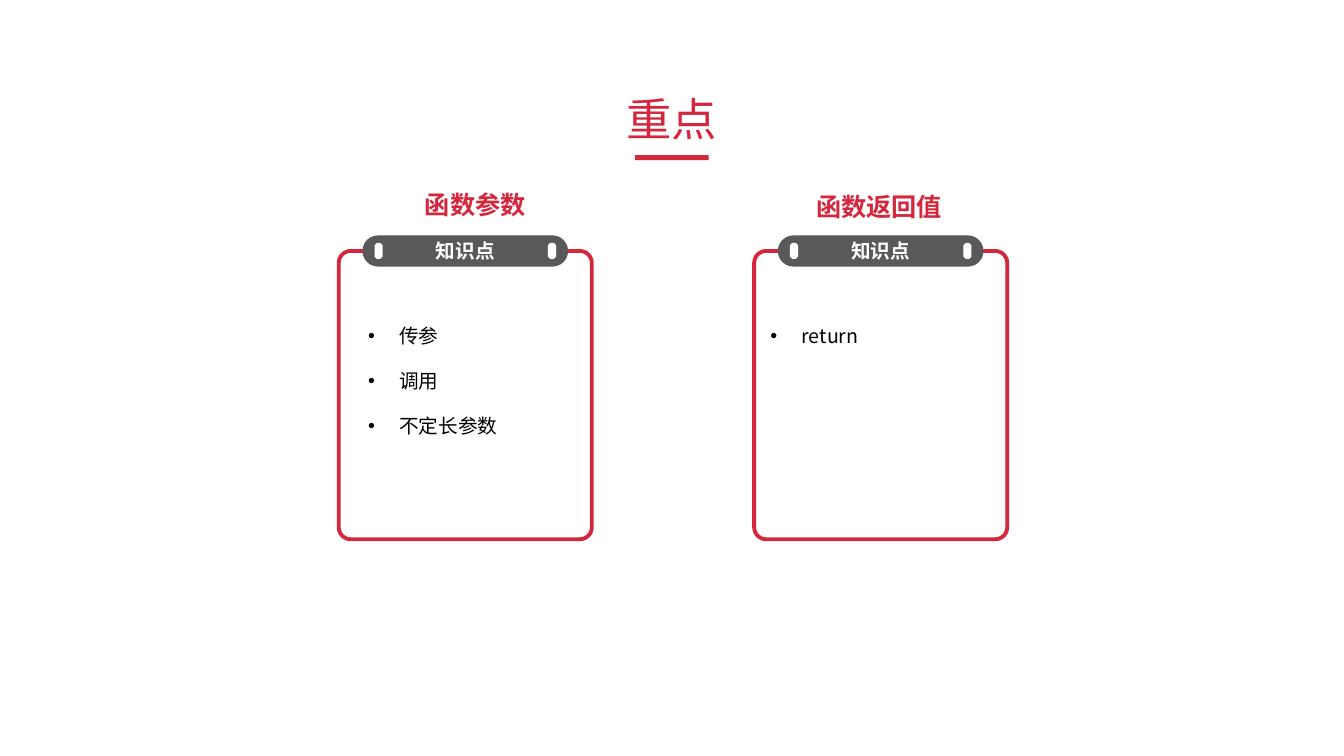
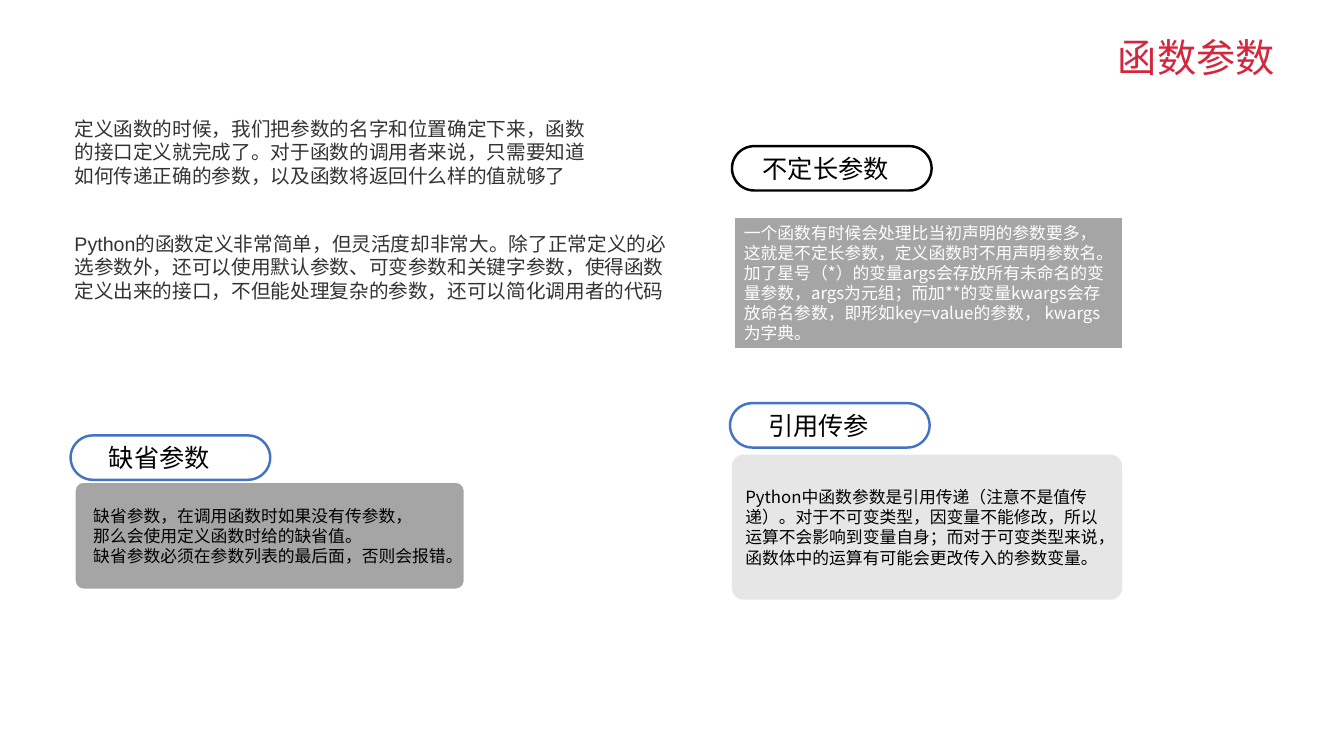
from lxml.etree import SubElement
from pptx import Presentation
from pptx.dml.color import RGBColor
from pptx.enum.shapes import MSO_SHAPE
from pptx.enum.text import MSO_ANCHOR, MSO_AUTO_SIZE, PP_ALIGN
from pptx.oxml.ns import qn
from pptx.util import Inches, Pt

COLORS = {
    "red": "D4273E", "slate": "595959", "ink": "333333", "black": "000000",
    "white": "FFFFFF", "gray": "A5A5A5", "pale": "E7E6E6", "blue": "4472C4",
}
SANS, LATIN = "Noto Sans CJK SC", "Arial"
WIDTH, HEIGHT = 13.33, 7.5
TWO_LISTS, TITLE_ONLY = 3, 5

# Key points: two equal panels
PANEL_LEFT, PANEL_TOP, PANEL_PITCH = 3.36, 2.49, 4.12
PANEL_WIDTH, PANEL_HEIGHT = 2.51, 2.86
TAB_WIDTH, TAB_HEIGHT = 2.04, 0.31
SLOT_WIDTH, SLOT_HEIGHT, SLOT_INSET = 0.08, 0.16, 0.12
PANELS = [  # heading, its box, list items, list box
    ("函数参数", (3.65, 1.83, 2.13, 0.4),
     ["传参", "调用", "不定长参数"], (3.55, 3.05, 2.25, 1.4)),
    ("函数返回值", (7.47, 1.85, 2.5, 0.4),
     ["return"], (7.54, 3.05, 2.23, 0.41)),
]

# Function parameters: paragraphs, labels and cards
INTRO = [
    ((0.64, 1.11, 5.34, 0.81),
     "定义函数的时候，我们把参数的名字和位置确定下来，函数的接口定义就完成了。"
     "对于函数的调用者来说，只需要知道如何传递正确的参数，以及函数将返回什么样的值就够了"),
    ((0.64, 2.25, 6.16, 0.81),
     "Python的函数定义非常简单，但灵活度却非常大。除了正常定义的必选参数外，"
     "还可以使用默认参数、可变参数和关键字参数，使得函数定义出来的接口，"
     "不但能处理复杂的参数，还可以简化调用者的代码"),
]
LABEL_WIDTH, LABEL_HEIGHT = 1.98, 0.44
LABELS = [  # text, left, top, outline, right inset
    ("缺省参数", 0.7, 4.32, "blue", 0.22),
    ("不定长参数", 7.26, 1.45, "black", 0.12),
    ("引用传参", 7.24, 4.0, "blue", 0.22),
]
CARDS = [
    dict(box=(0.74, 4.78, 3.87, 1.07), kind=MSO_SHAPE.ROUNDED_RECTANGLE,
         fill="gray", line="white", color="black", insets=(0.16, 0),
         paragraphs=[[("缺省参数，在调用函数时如果没有传参数，", SANS)],
                     [("那么会使用定义函数时给的缺省值。", SANS)],
                     [("缺省参数必须在参数列表的最后面，否则会报错。", SANS)]]),
    dict(box=(7.28, 2.15, 3.86, 1.31), kind=MSO_SHAPE.RECTANGLE,
         fill="gray", line="white", color="white", insets=(0.1, 0.1),
         paragraphs=[[
             ("一个函数有时候会处理比当初声明的参数要多，这就是不定长参数，"
              "定义函数时不用声明参数名。", LATIN),
             ("加了星号（*）的变量args会存放所有未命名的变量参数，args为元组；"
              "而加**的变量kwargs会存放命名参数，即形如key=value的参数， kwargs为字典。", SANS)]]),
    dict(box=(7.26, 4.51, 3.87, 1.44), kind=MSO_SHAPE.ROUNDED_RECTANGLE,
         fill="pale", line=None, color="black", insets=(0.1, 0.04),
         paragraphs=[[
             ("Python中函数参数是引用传递（注意不是值传递）。对于不可变类型，因变量不能修改，"
              "所以运算不会影响到变量自身；而对于可变类型来说，"
              "函数体中的运算有可能会更改传入的参数变量。", SANS)]]),
]


def rgb(name):
    return RGBColor.from_string(COLORS[name])


def place(shape, box):
    shape.left, shape.top, shape.width, shape.height = map(Inches, box)


def write(shape, paragraphs, size, color, bold=False, align=PP_ALIGN.LEFT,
          anchor=MSO_ANCHOR.MIDDLE, insets=(0.1, 0.1), wrap=True):
    """Fill a shape with paragraphs, each a list of (text, font) runs."""
    frame = shape.text_frame
    frame.word_wrap, frame.auto_size = wrap, MSO_AUTO_SIZE.NONE
    frame.vertical_anchor = anchor
    frame.margin_left, frame.margin_right = map(Inches, insets)
    for index, runs in enumerate(paragraphs):
        para = frame.paragraphs[0] if index == 0 else frame.add_paragraph()
        para.alignment = align
        for text, font in runs:
            span = para.add_run()
            span.text = text
            span.font.name, span.font.size, span.font.bold = font, Pt(size), bold
            span.font.color.rgb = rgb(color)
            SubElement(span.font._element, qn("a:ea")).set("typeface", font)


def add_shape(page, kind, box, fill=None, line=None, weight=1.5, corner=None):
    shape = page.shapes.add_shape(kind, *map(Inches, box))
    shape.shadow.inherit = False
    if fill:
        shape.fill.solid()
        shape.fill.fore_color.rgb = rgb(fill)
    else:
        shape.fill.background()
    if line:
        shape.line.color.rgb = rgb(line)
        shape.line.width = Pt(weight)
    else:
        shape.line.fill.background()
    if corner is not None:
        shape.adjustments[0] = corner
    return shape


def add_text(page, box, text, size, color, font=SANS, **style):
    shape = page.shapes.add_textbox(*map(Inches, box))
    write(shape, [[(text, font)]], size, color, anchor=MSO_ANCHOR.TOP, **style)


def add_page(deck, layout, title, box, size):
    page = deck.slides.add_slide(deck.slide_layouts[layout])
    place(page.shapes.title, box)
    write(page.shapes.title, [[(title, SANS)]], size, "red",
          align=PP_ALIGN.CENTER, wrap=False)
    return page


def fill_list(holder, items, box):
    place(holder, box)
    write(holder, [[(item, SANS)] for item in items], 14, "black",
          anchor=MSO_ANCHOR.TOP)
    for para in holder.text_frame.paragraphs:
        para.line_spacing, para.space_before = 1.5, Pt(7)
        properties = para._p.get_or_add_pPr()
        properties.set("marL", str(Inches(0.31)))
        properties.set("indent", str(-Inches(0.31)))
        SubElement(properties, qn("a:buFont")).set("typeface", LATIN)
        SubElement(properties, qn("a:buChar")).set("char", "•")


def add_panel(page, left):
    add_shape(page, MSO_SHAPE.ROUNDED_RECTANGLE,
              (left, PANEL_TOP, PANEL_WIDTH, PANEL_HEIGHT),
              line="red", weight=2.75, corner=0.047)
    tab_left = left + (PANEL_WIDTH - TAB_WIDTH) / 2
    tab = add_shape(page, MSO_SHAPE.ROUNDED_RECTANGLE,
                    (tab_left, PANEL_TOP - TAB_HEIGHT / 2, TAB_WIDTH, TAB_HEIGHT),
                    fill="slate", corner=0.5)
    tab.text_frame.margin_top = tab.text_frame.margin_bottom = 0
    write(tab, [[("知识点", SANS)]], 14, "white", bold=True, align=PP_ALIGN.CENTER)
    for offset in (SLOT_INSET, TAB_WIDTH - SLOT_INSET - SLOT_WIDTH):
        add_shape(page, MSO_SHAPE.OCTAGON,
                  (tab_left + offset, PANEL_TOP - SLOT_HEIGHT / 2, SLOT_WIDTH, SLOT_HEIGHT),
                  fill="white", corner=0.293)


def build_key_points(deck):
    page = add_page(deck, TWO_LISTS, "重点", (1.35, 0.86, 10.63, 0.62), 32.4)
    add_shape(page, MSO_SHAPE.RECTANGLE, (6.3, 1.54, 0.73, 0.05), fill="red")
    for index, (heading, heading_box, items, list_box) in enumerate(PANELS):
        add_text(page, heading_box, heading, 18, "red", bold=True, align=PP_ALIGN.CENTER)
        fill_list(page.placeholders[index + 1], items, list_box)
        add_panel(page, PANEL_LEFT + index * PANEL_PITCH)


def build_parameters(deck):
    page = add_page(deck, TITLE_ONLY, "函数参数", (10.98, 0.28, 1.77, 0.57), 28)
    for box, text in INTRO:
        add_text(page, box, text, 14, "ink", font=LATIN)
    for card in CARDS:
        rounded = card["kind"] == MSO_SHAPE.ROUNDED_RECTANGLE
        shape = add_shape(page, card["kind"], card["box"], card["fill"], card["line"],
                          corner=0.081 if rounded else None)
        write(shape, card["paragraphs"], 12, card["color"], insets=card["insets"])
    for text, left, top, outline, right_inset in LABELS:
        label = add_shape(page, MSO_SHAPE.ROUNDED_RECTANGLE,
                          (left, top, LABEL_WIDTH, LABEL_HEIGHT),
                          line=outline, weight=1.75, corner=0.5)
        write(label, [[(text, SANS)]], 18, "black", align=PP_ALIGN.CENTER,
              insets=(0, right_inset))


def main():
    deck = Presentation()
    deck.slide_width, deck.slide_height = Inches(WIDTH), Inches(HEIGHT)
    build_key_points(deck)
    build_parameters(deck)
    deck.save("out.pptx")


if __name__ == "__main__":
    main()
